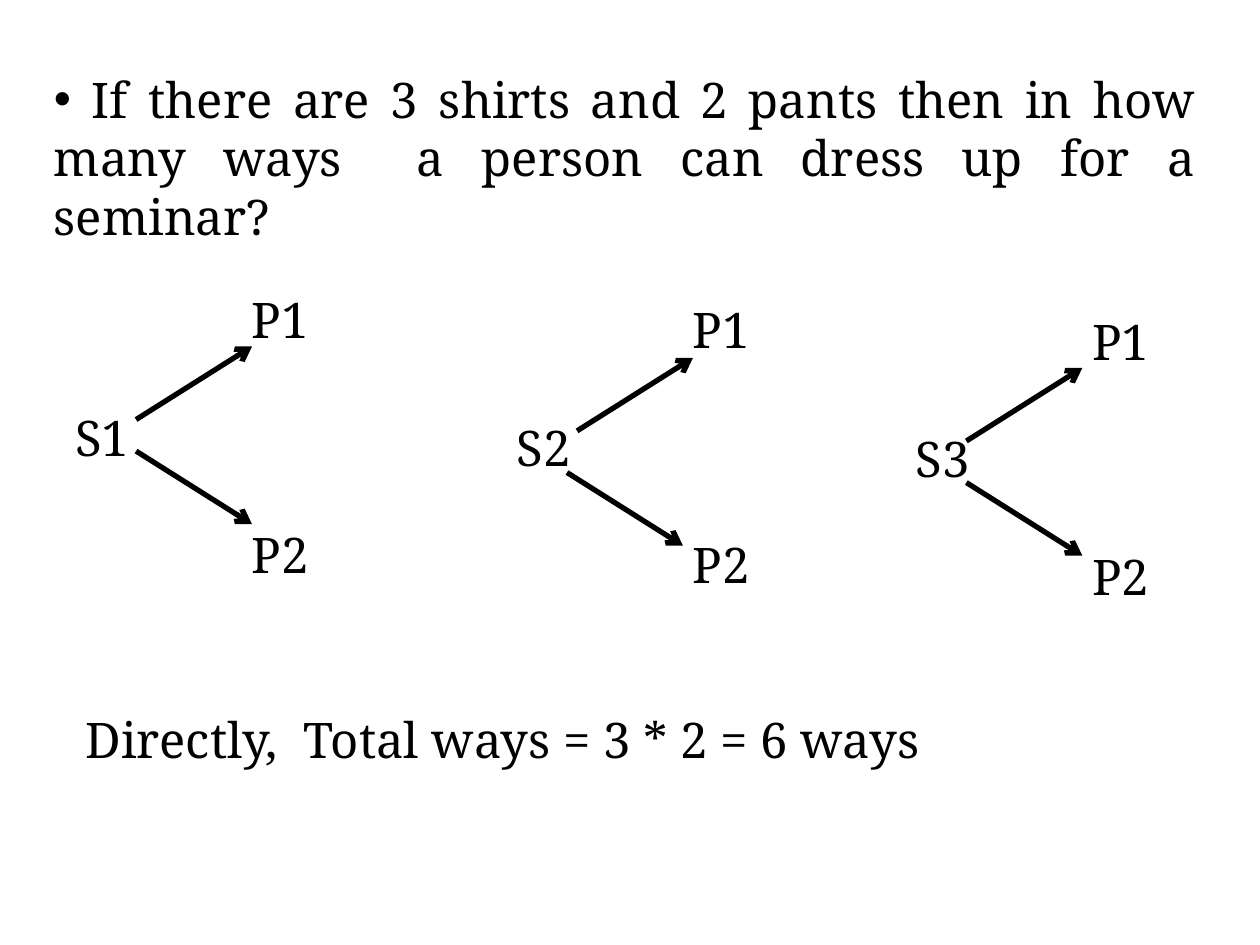
from pptx import Presentation
from pptx.dml.color import RGBColor
from pptx.enum.shapes import MSO_CONNECTOR
from pptx.enum.text import PP_ALIGN
from pptx.oxml.ns import qn
from pptx.util import Inches, Pt
from lxml.etree import SubElement

COLORS = {"ink": "000000", "page": "FFFFFF"}
FONT = "Noto Serif"
SIZE = 28
GAP = 33.5
INDENT = 1.4

# Shirt, box left, top, width, height, then the starts of both arrows
TREES = [
    ("S1", (0.5, 2.25, 2.67, 2.46), (1.08, 3.33), (1.08, 3.58)),
    ("S2", (4, 2.33, 2.42, 3.4), (4.58, 3.42), (4.5, 3.75)),
    ("S3", (7.17, 2.42, 2.42, 3.4), (7.67, 3.5), (7.67, 3.83)),
]
REACH = (0.92, 0.58)


def add_text(slide, box, lines):
    """Add a wrapped text box and return its paragraphs."""
    frame = slide.shapes.add_textbox(*map(Inches, box)).text_frame
    frame.word_wrap = True
    frame.text = "\n".join(lines)
    for para in frame.paragraphs:
        for run in para.runs:
            run.font.name = FONT
            run.font.size = Pt(SIZE)
            run.font.color.rgb = RGBColor.from_string(COLORS["ink"])
    return frame.paragraphs


def add_bullet(para):
    """Give a paragraph an inline round bullet."""
    props = para._p.get_or_add_pPr()
    props.set("marL", "0")
    props.set("indent", "0")
    SubElement(props, qn("a:buFont"), typeface="Arial")
    SubElement(props, qn("a:buChar"), char="•")


def add_arrow(slide, start, rise):
    """Draw an arrow of fixed reach, up (-1) or down (1)."""
    x, y = start
    ends = (x, y, x + REACH[0], y + rise * REACH[1])
    arrow = slide.shapes.add_connector(
        MSO_CONNECTOR.STRAIGHT, *map(Inches, ends))
    arrow.line.color.rgb = RGBColor.from_string(COLORS["ink"])
    arrow.line.width = Pt(3)
    SubElement(arrow.line._get_or_add_ln(), qn("a:tailEnd"), type="arrow")
    SubElement(arrow._element.spPr, qn("a:effectLst"))


def add_tree(slide, shirt, box, upper, lower):
    """Draw one shirt with arrows to its two pants."""
    first, mid, last = add_text(slide, box, ["P1", shirt, "P2"])
    for para in (first, last):
        para._p.get_or_add_pPr().set("marL", str(Inches(INDENT)))
    for para in (mid, last):
        para.space_before = Pt(GAP)
    add_arrow(slide, upper, -1)
    add_arrow(slide, lower, 1)


def main():
    """Build the slide and save it."""
    deck = Presentation()
    deck.slide_width, deck.slide_height = Inches(10), Inches(7.5)
    slide = deck.slides.add_slide(deck.slide_layouts[6])
    fill = slide.background.fill
    fill.solid()
    fill.fore_color.rgb = RGBColor.from_string(COLORS["page"])

    task = add_text(slide, (0.33, 0.5, 9.25, 1.04), [
        " If there are 3 shirts and 2 pants then in how many ways  "
        "a person can dress up for a seminar?"])[0]
    task.alignment = PP_ALIGN.JUSTIFY
    add_bullet(task)
    for tree in TREES:
        add_tree(slide, *tree)
    add_text(slide, (0.58, 5.58, 8.58, 0.57),
             ["Directly,  Total ways = 3 * 2 = 6 ways"])
    deck.save("out.pptx")


main()
